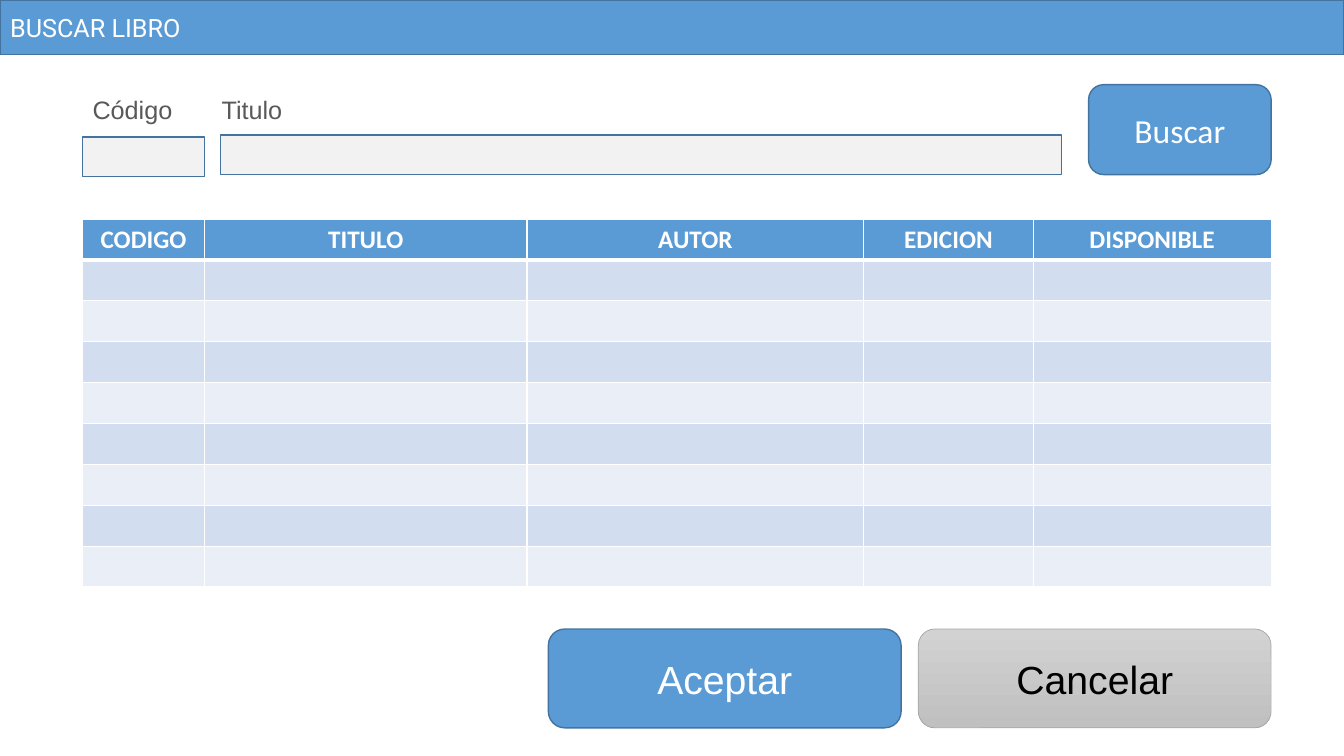
from lxml.etree import SubElement
from pptx import Presentation
from pptx.dml.color import RGBColor
from pptx.enum.shapes import MSO_SHAPE
from pptx.enum.text import MSO_ANCHOR, MSO_AUTO_SIZE, PP_ALIGN
from pptx.oxml.ns import qn
from pptx.util import Pt

COLORS = {
    "blue": "5B9BD5", "outline": "43739E", "field": "F2F2F2", "label": "595959",
    "white": "FFFFFF", "black": "000000", "band_dark": "D2DEEF", "band_light": "EAEFF7",
    "gray_top": "D2D2D2", "gray_bottom": "C0C0C0", "gray_line": "A5A5A5",
}
HEADINGS = {"CODIGO": 87.1, "TITULO": 230.4, "AUTOR": 240.5, "EDICION": 121, "DISPONIBLE": 170}
EMPTY_ROWS = 8


def color(name):
    """Return the palette colour with this name."""
    return RGBColor.from_string(COLORS[name])


def write(frame, text, size, font, ink, align=PP_ALIGN.LEFT, bold=False):
    """Put one formatted run in a text frame."""
    paragraph = frame.paragraphs[0]
    paragraph.alignment = align
    run = paragraph.add_run()
    run.text = text
    run.font.size, run.font.name, run.font.bold = Pt(size), font, bold
    run.font.color.rgb = color(ink)


def paint(shape, fill, line="outline", width=1):
    """Give a shape a plain fill and outline."""
    shape.fill.solid()
    shape.fill.fore_color.rgb = color(fill)
    shape.line.color.rgb = color(line)
    shape.line.width = Pt(width)


def add_title_bar(slide, left, top, width, height):
    """Turn the title placeholder into the window's title bar."""
    title = slide.shapes.title
    title.left, title.top, title.width, title.height = map(Pt, (left, top, width, height))
    paint(title, "blue")
    title.text_frame.auto_size = MSO_AUTO_SIZE.NONE
    title.text_frame.vertical_anchor = MSO_ANCHOR.MIDDLE
    write(title.text_frame, "BUSCAR LIBRO", 18, "Roboto", "white")


def add_field(slide, caption, left, top, width, caption_left, drop):
    """Add a caption with its input field below."""
    label = slide.shapes.add_textbox(Pt(caption_left), Pt(top), Pt(170), Pt(35.3))
    label.text_frame.word_wrap = True
    label.text_frame.vertical_anchor = MSO_ANCHOR.MIDDLE
    write(label.text_frame, caption, 18, "Arial", "label")
    field = slide.shapes.add_shape(
        MSO_SHAPE.RECTANGLE, Pt(left), Pt(top + drop), Pt(width), Pt(28.1))
    field.shadow.inherit = False
    paint(field, "field")


def add_button(slide, caption, left, top, width, height, size, font, ink="white"):
    """Add a blue rounded button and return it."""
    button = slide.shapes.add_shape(
        MSO_SHAPE.ROUNDED_RECTANGLE, Pt(left), Pt(top), Pt(width), Pt(height))
    button.shadow.inherit = False
    paint(button, "blue")
    button.text_frame.vertical_anchor = MSO_ANCHOR.MIDDLE
    write(button.text_frame, caption, size, font, ink, PP_ALIGN.CENTER)
    return button


def add_search_form(slide, left, top, width):
    """Lay out the two search fields and the search button."""
    add_field(slide, "Código", left, top, 87.1, left, 37.4)
    add_field(slide, "Titulo", left + 98.6, top, 600.5, left + 92.2, 36)
    add_button(slide, "Buscar", left + width - 130.4, top, 130.4, 64.2, 24, "Calibri")


def style_cell(cell, fill, top_width, bottom_width):
    """Set the white borders and the fill of a table cell."""
    properties = cell._tc.get_or_add_tcPr()
    widths = {"a:lnL": 1, "a:lnR": 1, "a:lnT": top_width, "a:lnB": bottom_width}
    for side, width in widths.items():
        border = SubElement(properties, qn(side), w=str(Pt(width)))
        SubElement(SubElement(border, qn("a:solidFill")), qn("a:srgbClr"), val=COLORS["white"])
    cell.fill.solid()
    cell.fill.fore_color.rgb = color(fill)


def add_results(slide, left, top, width, height):
    """Add the results table with its headings and empty banded rows."""
    row_count = EMPTY_ROWS + 1
    results = slide.shapes.add_table(
        row_count, len(HEADINGS), Pt(left), Pt(top), Pt(width), Pt(height)).table
    for row in results.rows:
        row.height = Pt(height / row_count)
    for column, (heading, column_width) in enumerate(HEADINGS.items()):
        results.columns[column].width = Pt(column_width)
        header = results.cell(0, column)
        style_cell(header, "blue", 1, 3)
        write(header.text_frame, heading, 18, "Calibri", "white", PP_ALIGN.CENTER, True)
        for row in range(1, row_count):
            band = "band_dark" if row % 2 else "band_light"
            style_cell(results.cell(row, column), band, 3 if row == 1 else 1, 1)


def add_actions(slide, left, top, width, height):
    """Add the accept and cancel buttons side by side."""
    button_width = 252
    add_button(slide, "Aceptar", left, top, button_width, height, 28, "Arial")
    cancel = add_button(slide, "Cancelar", left + width - button_width, top,
                        button_width, height, 28, "Arial", "black")
    cancel.fill.gradient()
    cancel.fill.gradient_angle = 270
    for stop, shade in zip(cancel.fill.gradient_stops, ("gray_top", "gray_bottom")):
        stop.color.rgb = color(shade)
    cancel.line.color.rgb = color("gray_line")
    cancel.line.width = Pt(0.5)


def main():
    """Build the book search slide and save it."""
    presentation = Presentation()
    presentation.slide_width, presentation.slide_height = Pt(960), Pt(540)
    slide = presentation.slides.add_slide(presentation.slide_layouts.get_by_name("Title Only"))
    add_title_bar(slide, 0, 0, 960, 38.9)
    add_search_form(slide, 59, 60.5, 849)
    add_results(slide, 59, 156.5, 849, 262.8)
    add_actions(slide, 391.7, 449.3, 516.3, 70.6)
    presentation.save("out.pptx")


if __name__ == "__main__":
    main()
